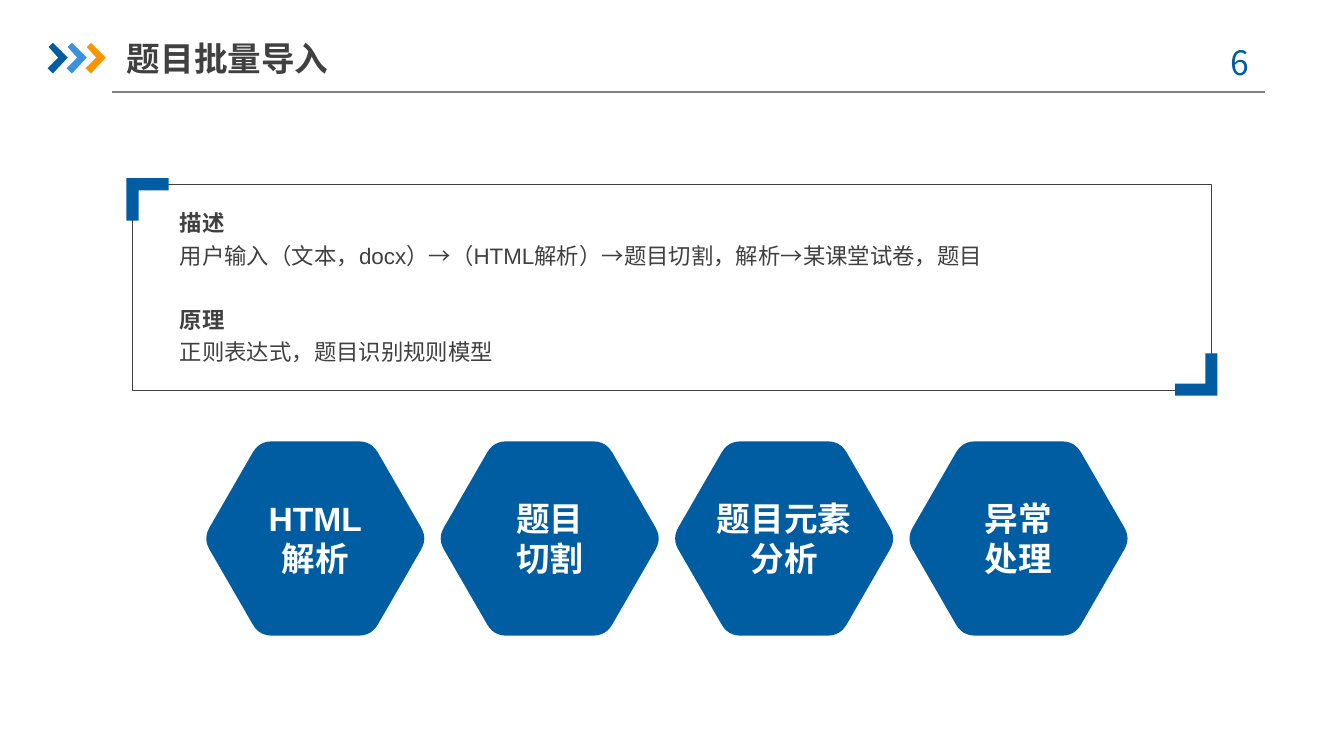
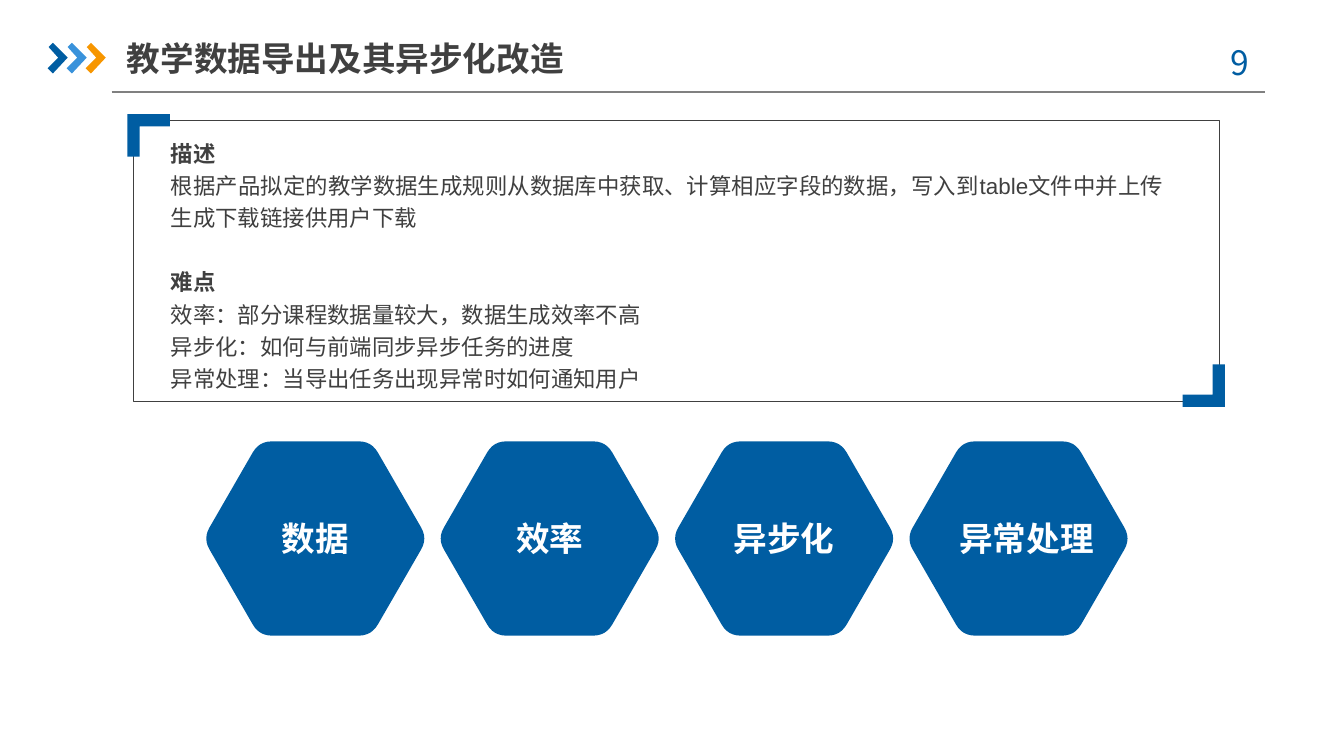
from math import cos, pi, sin

from lxml import etree
from pptx import Presentation
from pptx.dml.color import RGBColor
from pptx.enum import shapes, text
from pptx.oxml.ns import qn
from pptx.util import Cm, Pt

COLOURS = {
    "blue": "005DA2",
    "light_blue": "3992DB",
    "orange": "F79600",
    "ink": "404040",
    "rule": "808080",
    "white": "FFFFFF",
}
LATIN, CJK = "Arial", "Noto Sans CJK SC"
TITLE_ONLY = 5

TITLE = {"size": Pt(18), "bold": True, "name": LATIN}
NUMBER = {"size": Pt(18), "bold": False, "name": CJK}
HEADING = {"size": Pt(12), "bold": True, "name": LATIN}
BODY = {**HEADING, "bold": False}


def rgb(name):
    return RGBColor.from_string(COLOURS[name])


def set_frame(frame, insets=(0, 0, 0, 0), anchor=text.MSO_ANCHOR.TOP):
    sides = ("left", "top", "right", "bottom")
    values = {f"margin_{side}": Cm(inset) for side, inset in zip(sides, insets)}
    values.update(word_wrap=True, vertical_anchor=anchor,
                  auto_size=text.MSO_AUTO_SIZE.NONE)
    for key, value in values.items():
        setattr(frame, key, value)


def write(paragraph, words, style, colour, **layout):
    """Add one run; layout holds paragraph attributes."""
    run = paragraph.add_run()
    run.text = words
    for key, value in style.items():
        setattr(run.font, key, value)
    run.font.color.rgb = rgb(colour)
    etree.SubElement(run.font._element, qn("a:ea"), typeface=CJK)
    for key, value in layout.items():
        setattr(paragraph, key, value)


def paragraphs_of(frame, count):
    return [frame.paragraphs[0]] + [frame.add_paragraph() for _ in range(count - 1)]


def add_text_box(slide, left, top, width, height, insets=(0, 0, 0, 0)):
    frame = slide.shapes.add_textbox(Cm(left), Cm(top), Cm(width), Cm(height)).text_frame
    set_frame(frame, insets)
    return frame


def add_outline(slide, left, top, points, colour):
    """Draw a filled polygon from points in cm relative to left and top."""
    places = [(Cm(left + x), Cm(top + y)) for x, y in points]
    builder = slide.shapes.build_freeform(*places[0])
    builder.add_line_segments(places[1:])
    shape = builder.convert_to_shape()
    shape.shadow.inherit = False
    shape.fill.solid()
    shape.fill.fore_color.rgb = rgb(colour)
    shape.line.fill.background()


def add_header(slide, title, title_width, number):
    rule = slide.shapes.add_connector(
        shapes.MSO_CONNECTOR.STRAIGHT, Cm(2.11), Cm(1.74), Cm(23.9), Cm(1.74))
    rule.line.color.rgb = rgb("rule")
    rule.line.width = Pt(0.75)
    etree.SubElement(rule._element.spPr, qn("a:effectLst"))

    chevron = [(0.02, 0.08), (0.1, 0), (0.38, 0.28), (0.1, 0.58), (0, 0.48), (0.2, 0.28)]
    for index, colour in enumerate(("blue", "light_blue", "orange")):
        add_outline(slide, 0.9 + 0.36 * index, 0.81, chevron, colour)

    frame = add_text_box(slide, 22.5, 0.66, 1.85, 1.02, (0.25, 0.13, 0.25, 0.13))
    write(frame.paragraphs[0], number, NUMBER, "blue", alignment=text.PP_ALIGN.CENTER)

    placeholder = slide.shapes.title
    box = {"left": 2.4, "top": 0.56, "width": title_width, "height": 1.07}
    for key, value in box.items():
        setattr(placeholder, key, Cm(value))
    set_frame(placeholder.text_frame, (0, 0.13, 0, 0.13), text.MSO_ANCHOR.MIDDLE)
    write(placeholder.text_frame.paragraphs[0], title, TITLE, "ink",
          alignment=text.PP_ALIGN.LEFT)


def add_panel(slide, box, inset, sections):
    """Framed text with two corner brackets; sections are (heading, lines)."""
    left, top, width, height = box
    border = slide.shapes.add_shape(
        shapes.MSO_SHAPE.RECTANGLE, *(Cm(value) for value in box))
    border.shadow.inherit = False
    border.fill.background()
    border.line.color.rgb = rgb("ink")
    border.line.width = Pt(0.25)

    dx, dy = inset
    frame = add_text_box(slide, left + dx, top + dy, 18.75, height - 2 * dy)
    rows = []
    for heading, lines in sections:
        rows += [(heading, HEADING)] + [(line, BODY) for line in lines]
    for index, (paragraph, (words, style)) in enumerate(
            zip(paragraphs_of(frame, len(rows)), rows)):
        new_section = index > 0 and style is HEADING
        write(paragraph, words, style, "ink", alignment=text.PP_ALIGN.JUSTIFY,
              line_spacing=1.2, space_before=Pt(17.3 if new_section else 0))

    arm, thick, overhang = 0.8, 0.23, 0.11
    bracket = [(0, 0), (arm, 0), (arm, thick), (thick, thick), (thick, arm), (0, arm)]
    add_outline(slide, left - overhang, top - overhang, bracket, "blue")
    add_outline(slide, left + width + overhang, top + height + overhang,
                [(-x, -y) for x, y in bracket], "blue")


def rounded_hexagon(radius, cut, steps=6):
    """Points around (0, 0), each corner rounded from cut before it to cut after it."""
    corners = [(radius * cos(k * pi / 3), radius * sin(k * pi / 3)) for k in range(6)]
    share = cut / radius
    points = []
    for k, corner in enumerate(corners):
        start, end = (
            [c + share * (n - c) for c, n in zip(corner, corners[(k + step) % 6])]
            for step in (-1, 1))
        for t in (i / steps for i in range(steps + 1)):
            points.append([(1 - t) ** 2 * a + 2 * t * (1 - t) * c + t * t * b
                           for a, c, b in zip(start, corner, end)])
    return points


def add_hexagons(slide, labels, text_height):
    """One row; each label is (lines, text width, shift to the right)."""
    first, pitch, middle = 5.96, 4.43, 10.18
    outline = rounded_hexagon(2.12, 0.24)
    for index, (lines, width, shift) in enumerate(labels):
        centre = first + pitch * index
        add_outline(slide, centre, middle, outline, "blue")
        frame = add_text_box(slide, centre + shift - width / 2,
                             middle - text_height / 2, width, text_height)
        for paragraph, line in zip(paragraphs_of(frame, len(lines)), lines):
            write(paragraph, line, TITLE, "white", alignment=text.PP_ALIGN.CENTER)


def add_topic_slide(presentation, header, panel, hexagons):
    slide = presentation.slides.add_slide(presentation.slide_layouts[TITLE_ONLY])
    add_header(slide, *header)
    add_panel(slide, *panel)
    add_hexagons(slide, *hexagons)


def main():
    presentation = Presentation()
    presentation.slide_width, presentation.slide_height = Cm(25.4), Cm(14.29)
    add_topic_slide(
        presentation,
        ("题目批量导入", 5.92, "6"),
        ((2.5, 3.48, 20.4, 3.89), (0.9, 0.38), [
            ("描述", ["用户输入（文本，docx）→（HTML解析）→题目切割，解析→某课堂试卷，题目"]),
            ("原理", ["正则表达式，题目识别规则模型"]),
        ]),
        ([(["HTML", "解析"], 2.7, 0), (["题目", "切割"], 2.7, 0),
          (["题目元素分析"], 2.84, 0), (["异常处理"], 1.8, 0)], 1.54),
    )
    add_topic_slide(
        presentation,
        ("教学数据导出及其异步化改造", 8.51, "9"),
        ((2.52, 2.27, 20.52, 5.31), (0.71, 0.27), [
            ("描述", ["根据产品拟定的教学数据生成规则从数据库中获取、计算相应字段的数据，"
                    "写入到table文件中并上传生成下载链接供用户下载"]),
            ("难点", ["效率：部分课程数据量较大，数据生成效率不高",
                    "异步化：如何与前端同步异步任务的进度",
                    "异常处理：当导出任务出现异常时如何通知用户"]),
        ]),
        ([(["数据"], 2.7, 0), (["效率"], 2.7, 0),
          (["异步化"], 2.84, 0), (["异常处理"], 2.57, 0.15)], 0.77),
    )
    presentation.save("out.pptx")


if __name__ == "__main__":
    main()
